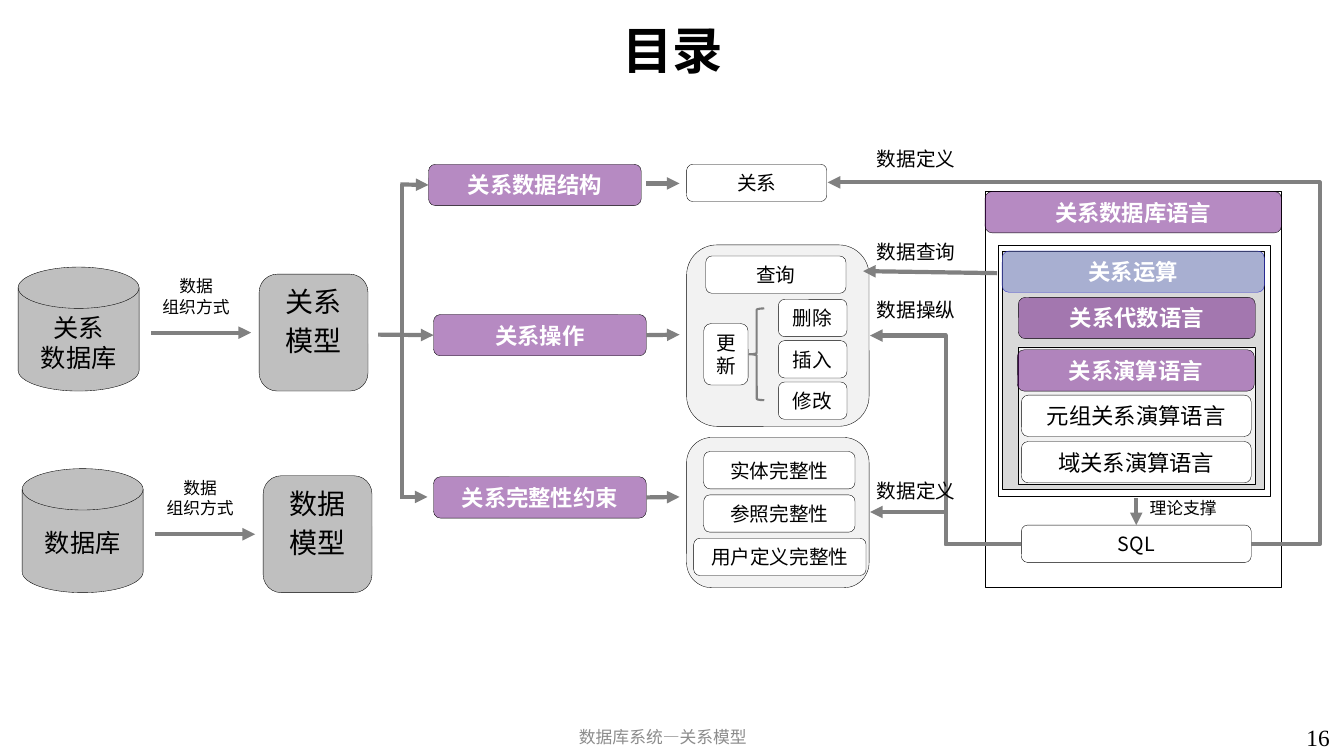
from lxml.etree import SubElement
from pptx import Presentation
from pptx.dml.color import RGBColor
from pptx.enum.shapes import MSO_CONNECTOR as CONN, MSO_SHAPE as SHAPE
from pptx.enum.text import MSO_ANCHOR as ANCHOR, PP_ALIGN as ALIGN
from pptx.oxml.ns import qn
from pptx.util import Inches, Pt

BLACK = RGBColor(0x00, 0x00, 0x00)
WHITE = RGBColor(0xFF, 0xFF, 0xFF)
PALE = RGBColor(0xF2, 0xF2, 0xF2)
LIGHT = RGBColor(0xD9, 0xD9, 0xD9)
SILVER = RGBColor(0xBF, 0xBF, 0xBF)
GRAY = RGBColor(0x80, 0x80, 0x80)
FOOTER = RGBColor(0x8C, 0x8C, 0x8C)
PURPLE = RGBColor(0x6F, 0x17, 0x87)
PERIWINKLE = RGBColor(0x78, 0x86, 0xCA)
BLUE = RGBColor(0x33, 0x33, 0xCC)
TOP, LEFT, RIGHT = 0, 1, 3


class Diagram:
    font = "Noto Sans CJK SC"

    def __init__(self, slide):
        self.slide = slide

    def set_text(self, s, text, size, color, bold=False, align=ALIGN.CENTER,
                 anchor=ANCHOR.MIDDLE, font=None, gap=0):
        tf = s.text_frame
        tf.word_wrap = True
        tf.vertical_anchor = anchor
        tf.text = text
        for i, p in enumerate(tf.paragraphs):
            p.alignment = align
            if i and gap:
                p.space_before = Pt(gap)
            for r in p.runs:
                r.font.size = Pt(size)
                r.font.bold = bold
                r.font.color.rgb = color
                r.font.name = font or self.font
                SubElement(r._r.get_or_add_rPr(), qn("a:ea"), typeface=font or self.font)

    def label(self, text, x, y, w, h, size, color=BLACK, anchor=ANCHOR.TOP, **style):
        s = self.slide.shapes.add_textbox(Inches(x), Inches(y), Inches(w), Inches(h))
        self.set_text(s, text, size, color, anchor=anchor, **style)

    def shape(self, kind, x, y, w, h, fill=None, line=BLACK, width=0.25, alpha=None):
        s = self.slide.shapes.add_shape(kind, Inches(x), Inches(y), Inches(w), Inches(h))
        s.shadow.inherit = False
        if fill is None:
            s.fill.background()
        else:
            s.fill.solid()
            s.fill.fore_color.rgb = fill
        if alpha:
            color = s._element.spPr.find(qn("a:solidFill"))[0]
            SubElement(color, qn("a:alpha"), val=str(alpha * 1000))
        s.line.color.rgb = line
        s.line.width = Pt(width)
        return s

    def heading(self, text, x, y, w, fill=PURPLE, line=BLACK):
        s = self.shape(SHAPE.ROUNDED_RECTANGLE, x, y, w, 0.41, fill, line, alpha=50)
        self.set_text(s, text, 16, WHITE, bold=True)
        return s

    def item(self, text, x, y, w, h=0.37, size=14):
        s = self.shape(SHAPE.ROUNDED_RECTANGLE, x, y, w, h, WHITE)
        self.set_text(s, text, size, BLACK)
        return s

    def line(self, x1, y1, x2, y2, kind=CONN.STRAIGHT, arrow=True, begin=None,
             end=None, adjust=None):
        c = self.slide.shapes.add_connector(
            kind, Inches(x1), Inches(y1), Inches(x2), Inches(y2))
        if begin:
            c.begin_connect(*begin)
        if end:
            c.end_connect(*end)
        c.line.color.rgb = GRAY
        c.line.width = Pt(3)
        spPr = c._element.spPr
        if arrow:
            SubElement(spPr.find(qn("a:ln")), qn("a:tailEnd"), type="triangle")
        if adjust:
            guides = spPr.find(qn("a:prstGeom")).get_or_add_avLst()
            SubElement(guides, qn("a:gd"), name="adj1", fmla=f"val {adjust}")
        SubElement(spPr, qn("a:effectLst"))

    def source_model(self, x, y, database, db_y, db_h, model):
        self.shape(SHAPE.FLOWCHART_MAGNETIC_DISK, x, y, 1.2, 1.23, SILVER)
        s = self.shape(SHAPE.ROUNDED_RECTANGLE, x + 2.39, y + 0.07, 1.08, 1.16, SILVER)
        self.set_text(s, model, 20, BLACK, anchor=ANCHOR.TOP, gap=4)
        self.label(database, x + 0.08, db_y, 1.04, db_h, 18)
        self.line(x + 1.32, y + 0.65, x + 2.31, y + 0.65)
        self.label("数据\n组织方式", x + 1.13, y + 0.04, 1.27, 0.56, 12)


def main():
    prs = Presentation()
    prs.slide_width, prs.slide_height = Inches(13.33), Inches(7.5)
    d = Diagram(prs.slides.add_slide(prs.slide_layouts[6]))

    d.label("16", 12.86, 7.13, 0.63, 0.52, 16.6, align=ALIGN.LEFT, font="Times New Roman")
    d.label("目录", 1.15, 0.12, 11.04, 0.74, 36, bold=True, anchor=ANCHOR.MIDDLE)
    d.label("数据库系统—关系模型", 4.47, 7.16, 4.21, 0.34, 12, FOOTER)

    for x, y, w, h, fill in ((9.77, 1.9, 2.94, 3.93, WHITE),
                             (9.94, 2.49, 2.6, 2.36, LIGHT),
                             (10.1, 3.44, 2.35, 1.36, PALE)):
        d.shape(SHAPE.RECTANGLE, x, y, w, h, fill)
    for y, h in ((2.43, 1.8), (4.34, 1.49)):
        d.shape(SHAPE.ROUNDED_RECTANGLE, 6.81, y, 1.81, h, PALE)

    d.source_model(0.18, 2.65, "关系\n数据库", 3.05, 0.79, "关系\n模型")
    d.source_model(0.22, 4.65, "数据库", 5.18, 0.45, "数据\n模型")

    structure = d.heading("关系数据结构", 4.25, 1.63, 2.11)
    operation = d.heading("关系操作", 4.3, 3.12, 2.11)
    constraint = d.heading("关系完整性约束", 4.3, 4.73, 2.11)
    d.line(3.75, 3.32, 4.3, 3.32, end=(operation, LEFT))
    d.line(3.97, 4.93, 4.24, 4.93)
    d.line(3.97, 1.83, 4.25, 1.83, end=(structure, LEFT))
    d.line(3.99, 1.83, 3.99, 4.93, arrow=False)
    d.line(6.41, 3.32, 6.74, 3.32, begin=(operation, RIGHT))
    d.line(6.41, 1.82, 6.74, 1.82)
    d.line(6.41, 4.93, 6.74, 4.93, begin=(constraint, RIGHT))

    d.item("关系", 6.81, 1.63, 1.39)
    d.item("查询", 7, 2.54, 1.39)
    d.item("更新", 6.98, 3.21, 0.44, 0.61)
    d.shape(SHAPE.LEFT_BRACE, 7.43, 3.06, 0.15, 0.91, line=GRAY, width=1.5)
    for i, text in enumerate(("删除", "插入", "修改")):
        d.item(text, 7.72, 2.97 + 0.41 * i, 0.68)
    for i, (text, x, w) in enumerate((("实体完整性", 6.98, 1.5),
                                      ("参照完整性", 6.98, 1.5),
                                      ("用户定义完整性", 6.88, 1.71))):
        d.item(text, x, 4.48 + 0.43 * i, w)

    d.heading("关系数据库语言", 9.77, 1.9, 2.94)
    d.heading("关系运算", 9.94, 2.49, 2.6, PERIWINKLE, BLUE)
    d.heading("关系代数语言", 10.1, 2.95, 2.35)
    d.heading("关系演算语言", 10.09, 3.47, 2.35)
    d.item("元组关系演算语言", 10.13, 3.92, 2.28, 0.41, 16)
    d.item("域关系演算语言", 10.13, 4.38, 2.28, 0.41, 16)
    sql = d.item("SQL", 10.13, 5.21, 2.28)
    d.label("理论支撑", 11.1, 4.89, 1.27, 0.34, 12)
    d.shape(SHAPE.RECTANGLE, 9.9, 2.43, 2.7, 2.49)

    d.line(11.27, 4.94, 11.27, 5.21, end=(sql, TOP))
    for y in (5.08, 3.33):
        d.line(10.13, 5.4, 8.63, y, CONN.ELBOW)
    d.line(9.89, 2.71, 8.56, 2.69)
    d.line(12.41, 5.4, 8.21, 1.81, CONN.ELBOW, adjust=-16200)

    for text, y in (("数据定义", 1.41), ("数据查询", 2.33),
                    ("数据操纵", 2.91), ("数据定义", 4.7)):
        d.label(text, 8.6, y, 1.27, 0.34, 14, align=ALIGN.LEFT)

    prs.save("out.pptx")


if __name__ == "__main__":
    main()
